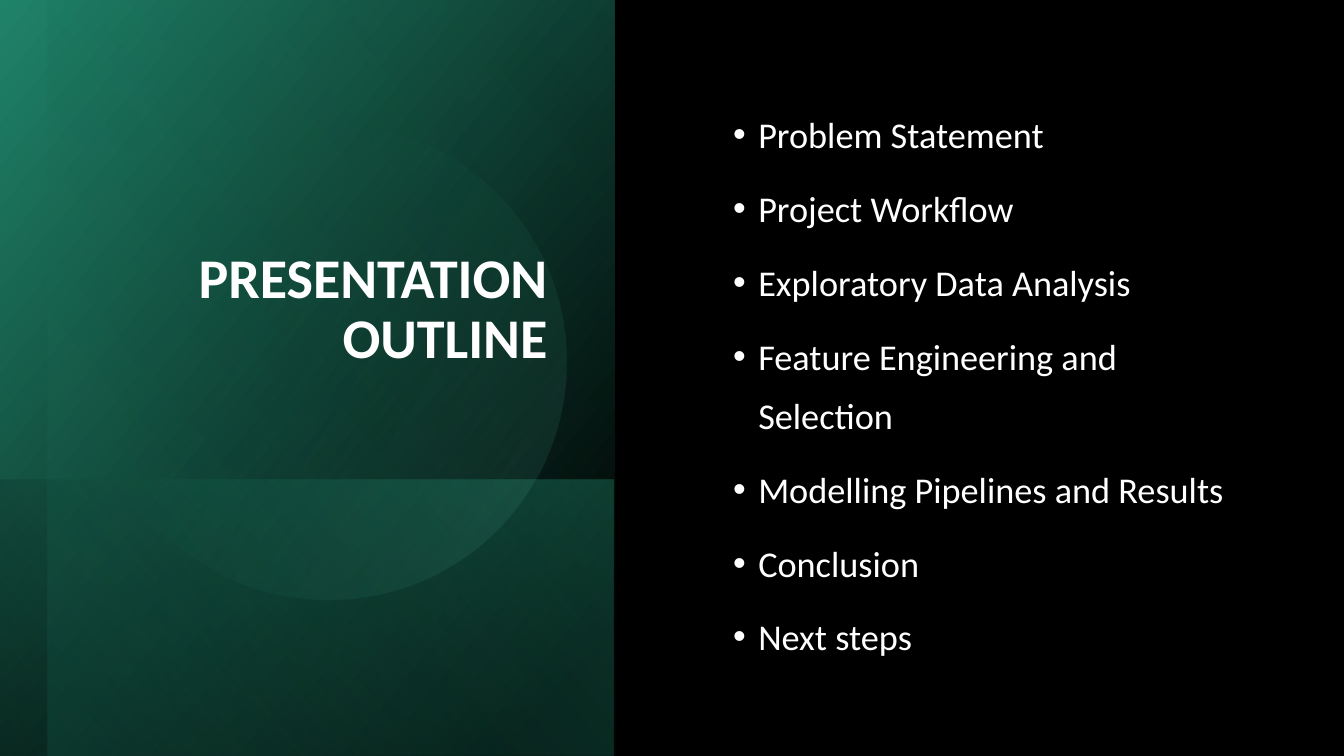
import pptx
import pptx.dml.color
import pptx.enum.shapes
import pptx.enum.text
import pptx.oxml
import pptx.oxml.ns
import pptx.util

Pt = pptx.util.Pt
SHAPE = pptx.enum.shapes.MSO_SHAPE
ALIGN = pptx.enum.text.PP_ALIGN
ANCHOR = pptx.enum.text.MSO_ANCHOR

TOPICS = [
    "Problem Statement",
    "Project Workflow",
    "Exploratory Data Analysis",
    "Feature Engineering and Selection",
    "Modelling Pipelines and Results",
    "Conclusion",
    "Next steps",
]


def rgb(value):
    return pptx.dml.color.RGBColor.from_string(value)


class OutlineSlide:
    font = "Calibri"
    ink = "FFFFFF"

    def __init__(self, prs, background):
        self.s = prs.slides.add_slide(prs.slide_layouts[1])
        fill = self.s.background.fill
        fill.solid()
        fill.fore_color.rgb = rgb(background)

    def gradient(self, sp, stops, angle):
        gs = "".join(
            f'<a:gs pos="{pos * 1000}"><a:srgbClr val="{color}">'
            f'<a:alpha val="{alpha * 1000}"/></a:srgbClr></a:gs>'
            for pos, color, alpha in stops
        )
        grad = pptx.oxml.parse_xml(
            f'<a:gradFill {pptx.oxml.ns.nsdecls("a")} rotWithShape="1">'
            f'<a:gsLst>{gs}</a:gsLst>'
            f'<a:lin ang="{angle * 60000}" scaled="0"/></a:gradFill>'
        )
        sp.element.spPr.find(pptx.oxml.ns.qn("a:prstGeom")).addnext(grad)

    def shape(self, kind, left, top, width, height, rotation, stops, angle):
        sp = self.s.shapes.add_shape(kind, Pt(left), Pt(top), Pt(width), Pt(height))
        sp.rotation = rotation
        sp.shadow.inherit = False
        sp.line.fill.background()
        self.gradient(sp, stops, angle)
        return sp

    def panel(self, left, top, width, height, stops, angle):
        shift = (width - height) / 2
        sp = self.shape(SHAPE.RECTANGLE, left + shift, top - shift,
                        height, width, 90, stops, angle)
        sp.element.spPr.find(pptx.oxml.ns.qn("a:xfrm")).set("flipH", "1")

    def disc(self, left, top, size, rotation, stops, angle):
        self.shape(SHAPE.OVAL, left, top, size, size, rotation, stops, angle)

    def place(self, sp, left, top, width, height, anchor):
        sp.left, sp.top, sp.width, sp.height = map(Pt, (left, top, width, height))
        sp.element.getparent().append(sp.element)
        tf = sp.text_frame
        tf.word_wrap = True
        tf.auto_size = pptx.enum.text.MSO_AUTO_SIZE.NONE
        tf.vertical_anchor = anchor
        return tf

    def run(self, p, text, size, bold=False):
        r = p.add_run()
        r.text = text
        r.font.name = self.font
        r.font.size = Pt(size)
        r.font.bold = bold
        r.font.color.rgb = rgb(self.ink)

    def title(self, text, left, top, width, height, bottom_inset):
        tf = self.place(self.s.shapes.title, left, top, width, height, ANCHOR.BOTTOM)
        tf.margin_bottom = Pt(bottom_inset)
        p = tf.paragraphs[0]
        p.alignment = ALIGN.RIGHT
        p.line_spacing = 0.9
        p.space_after = Pt(6)
        self.run(p, text, 40, bold=True)

    def bullets(self, items, left, top, width, height):
        tf = self.place(self.s.placeholders[1], left, top, width, height, ANCHOR.MIDDLE)
        for i, item in enumerate(items):
            p = tf.add_paragraph() if i else tf.paragraphs[0]
            p.alignment = ALIGN.LEFT
            p.line_spacing = 1.36
            p.space_before = Pt(10.5)
            pPr = p._p.get_or_add_pPr()
            pPr.set("marL", str(Pt(22.5)))
            pPr.set("indent", str(Pt(-18)))
            for tag, name, value in (("buFont", "typeface", "Arial"),
                                     ("buChar", "char", "•")):
                pPr.append(pptx.oxml.parse_xml(
                    f'<a:{tag} {pptx.oxml.ns.nsdecls("a")} {name}="{value}"/>'))
            self.run(p, item, 25.9)


def main():
    prs = pptx.Presentation()
    prs.slide_width = Pt(960)
    prs.slide_height = Pt(540)
    s = OutlineSlide(prs, "000000")
    s.panel(0, 0, 439.2, 540, [(8, "000000", 100), (100, "1F8369", 100)], 50)
    s.panel(-0.7, 342.7, 439.2, 197.3, [(2, "29AF8C", 29), (100, "000000", 30)], 130)
    s.panel(34.2, 0, 405.4, 540, [(0, "000000", 0), (99, "29AF8C", 11)], 130)
    s.disc(64.8, 88.6, 339.8, 101.6, [(39, "29AF8C", 0), (100, "70DEC1", 15)], 290)
    s.title("PRESENTATION OUTLINE", 64.8, 46.1, 333.4, 266.4, 47.6)
    s.bullets(TOPICS, 511.9, 51.1, 383, 437)
    prs.save("out.pptx")


if __name__ == "__main__":
    main()
